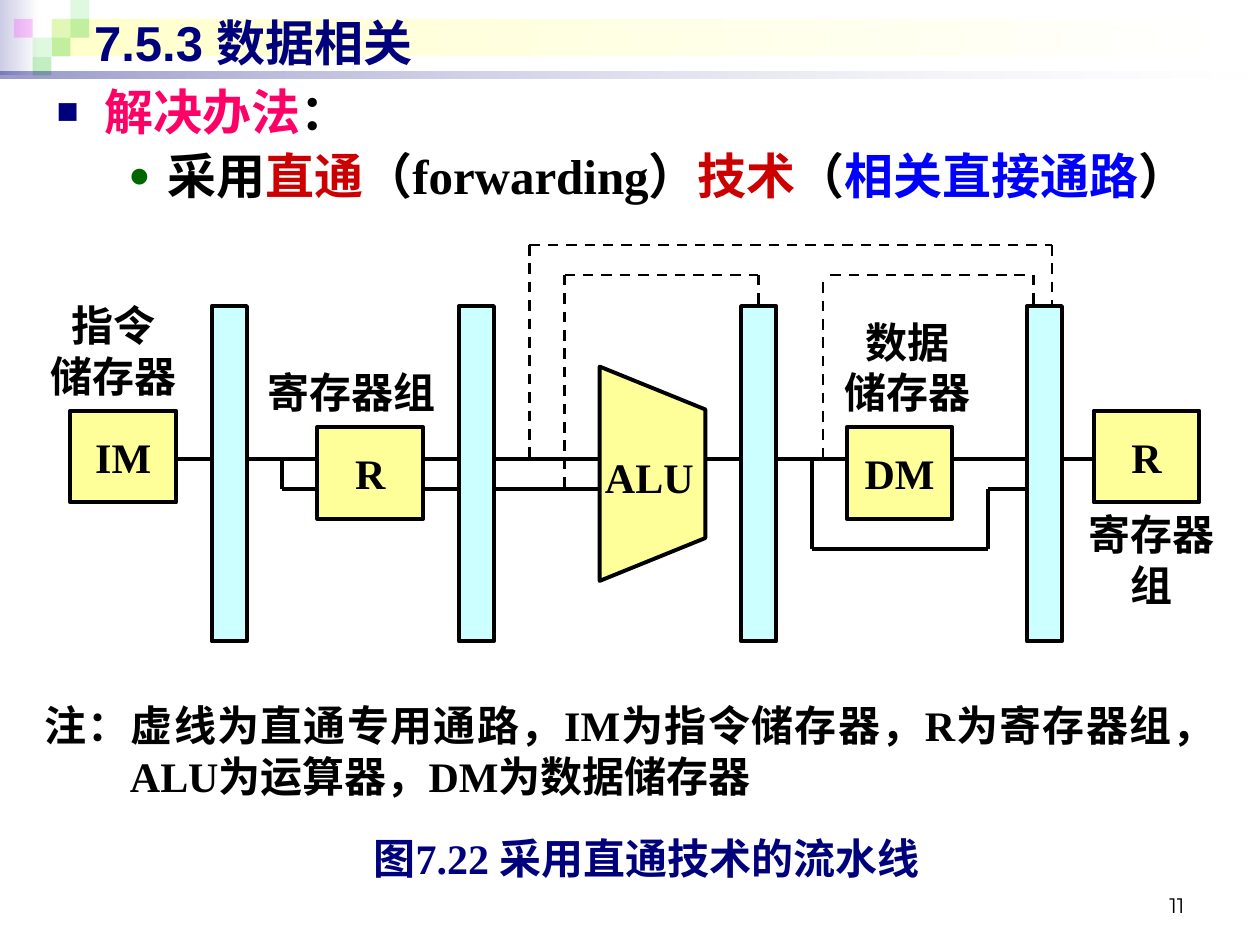
from dataclasses import dataclass
from itertools import pairwise

from lxml import etree
from pptx import Presentation
from pptx.dml.color import RGBColor
from pptx.enum.dml import MSO_LINE
from pptx.enum.shapes import MSO_CONNECTOR, MSO_SHAPE
from pptx.enum.text import MSO_ANCHOR, PP_ALIGN
from pptx.oxml.ns import qn
from pptx.util import Cm, Pt

RECTANGLE = MSO_SHAPE.RECTANGLE
TRAPEZOID = MSO_SHAPE.FLOWCHART_MANUAL_OPERATION
STRAIGHT = MSO_CONNECTOR.STRAIGHT
DASH = MSO_LINE.DASH
TOP, MIDDLE, BOTTOM = MSO_ANCHOR.TOP, MSO_ANCHOR.MIDDLE, MSO_ANCHOR.BOTTOM
LEFT, CENTER, RIGHT, JUSTIFY = PP_ALIGN.LEFT, PP_ALIGN.CENTER, PP_ALIGN.RIGHT, PP_ALIGN.JUSTIFY


@dataclass(frozen=True)
class Theme:
    navy: str = "00007D"
    black: str = "000000"
    white: str = "FFFFFF"
    pink: str = "FF0066"
    red: str = "CC0000"
    blue: str = "0000FF"
    bullet_green: str = "006600"
    unit_fill: str = "FFFF99"
    latch_fill: str = "CCFFFF"
    lavender: str = "CCCCE6"
    cream: str = "FFFFCC"
    tile_green: str = "33CC33"
    tile_magenta: str = "FF00FF"
    serif: str = "Times New Roman"
    sans: str = "Arial"
    number_font: str = "Montserrat"
    heading_size: int = 28
    diagram_size: int = 24
    number_size: int = 12
    wire_width: float = 2.25
    bypass_width: float = 1.5


THEME = Theme()

# Pipeline geometry in centimetres
UNIT_WIDTH, UNIT_HEIGHT = 2.13, 1.85
LATCH_WIDTH, LATCH_HEIGHT, LATCH_TOP = 0.71, 6.76, 6.17
UPPER_WIRE, LOWER_WIRE, BYPASS_WIRE = 9.25, 9.86, 11.07
ALU_LEFT, ALU_TOP, ALU_HEIGHT = 12.09, 7.39, 4.32
UNITS = [("IM", 1.42, 8.28), ("R", 6.4, 8.61), ("DM", 17.07, 8.61), ("R", 22.05, 8.28)]
LATCHES = [4.27, 9.25, 14.94, 20.7]


def add_block(slide, left, top, width, height, fill=None, line=None, preset=RECTANGLE):
    shape = slide.shapes.add_shape(preset, Cm(left), Cm(top), Cm(width), Cm(height))
    shape.shadow.inherit = False
    if fill:
        shape.fill.solid()
        shape.fill.fore_color.rgb = RGBColor.from_string(fill)
    if line:
        shape.line.color.rgb = RGBColor.from_string(line)
        shape.line.width = Pt(THEME.wire_width)
    else:
        shape.line.fill.background()
    return shape


def set_alpha(shape, percents):
    colours = shape.fill._xPr.iter(qn("a:srgbClr"))
    for colour, percent in zip(colours, percents):
        etree.SubElement(colour, qn("a:alpha")).set("val", str(percent * 1000))


def add_gradient(slide, left, top, width, height, start, end=THEME.white):
    shape = add_block(slide, left, top, width, height)
    shape.fill.gradient()
    shape.fill.gradient_angle = 0
    for stop, colour in zip(shape.fill.gradient_stops, (start, end)):
        stop.color.rgb = RGBColor.from_string(colour)
    return shape


def add_run(paragraph, text, colour=THEME.black, size=THEME.diagram_size, font=THEME.serif, bold=True):
    run = paragraph.add_run()
    run.text = text
    run.font.name = font
    run.font.size = Pt(size)
    run.font.bold = bold
    run.font.color.rgb = RGBColor.from_string(colour)


def set_frame(shape, anchor, align, margin=None):
    frame = shape.text_frame
    frame.word_wrap = True
    frame.vertical_anchor = anchor
    if margin is not None:
        frame.margin_left = frame.margin_right = Cm(margin)
        frame.margin_top = frame.margin_bottom = Cm(margin)
    paragraph = frame.paragraphs[0]
    paragraph.alignment = align
    return paragraph


def add_text(slide, left, top, width, height, anchor=TOP, align=CENTER):
    box = slide.shapes.add_textbox(Cm(left), Cm(top), Cm(width), Cm(height))
    return set_frame(box, anchor, align)


def add_label(slide, left, top, width, height, lines):
    paragraph = add_text(slide, left, top, width, height)
    for index, line in enumerate(lines):
        if index:
            paragraph.add_line_break()
        add_run(paragraph, line)


def set_indent(paragraph, margin, hanging):
    properties = paragraph._p.get_or_add_pPr()
    properties.set("marL", str(Cm(margin)))
    properties.set("indent", str(-Cm(hanging)))
    return properties


def set_bullet(paragraph, character, colour, margin, hanging):
    properties = set_indent(paragraph, margin, hanging)
    bullet_colour = etree.SubElement(properties, qn("a:buClr"))
    etree.SubElement(bullet_colour, qn("a:srgbClr")).set("val", colour)
    etree.SubElement(properties, qn("a:buSzPct")).set("val", "75000")
    etree.SubElement(properties, qn("a:buFont")).set("typeface", THEME.sans)
    etree.SubElement(properties, qn("a:buChar")).set("char", character)


def add_wire(slide, points, width=THEME.wire_width, dash=None):
    for (x1, y1), (x2, y2) in pairwise(points):
        wire = slide.shapes.add_connector(STRAIGHT, Cm(x1), Cm(y1), Cm(x2), Cm(y2))
        wire.line.color.rgb = RGBColor.from_string(THEME.black)
        wire.line.width = Pt(width)
        if dash:
            wire.line.dash_style = dash
        etree.SubElement(wire._element.spPr, qn("a:effectLst"))


def add_forwarding_path(slide, left, right, top, bottom, gap=0):
    for points in (
        [(left, top + gap), (left, bottom)],
        [(left + gap, top), (right - gap, top)],
        [(right, top), (right, LATCH_TOP)],
    ):
        add_wire(slide, points, THEME.bypass_width, DASH)


def add_decoration(slide):
    add_gradient(slide, 0, 0, 0.79, 1.52, THEME.lavender)
    add_gradient(slide, 1.04, 0.38, 24.26, 0.76, THEME.cream)
    tile = 0.38
    for column, row, colour, alpha in (
        (2, 1, THEME.tile_green, 15), (3, 0, THEME.tile_green, 15),
        (3, 1, THEME.tile_green, 30), (1, 2, THEME.tile_green, 15),
        (0, 1, THEME.tile_magenta, 20), (2, 2, THEME.tile_green, 30),
        (1, 3, THEME.tile_green, 30),
    ):
        set_alpha(add_block(slide, 0.28 + column * tile, row * tile, tile, tile, colour), [alpha])
    set_alpha(add_gradient(slide, 0, 1.45, 25.4, 0.13, THEME.navy), [40, 10])


def add_headings(slide):
    title = add_text(slide, 1.65, 0.13, 22.86, 1.45, MIDDLE, LEFT)
    add_run(title, "7.5.3 数据相关", THEME.navy, THEME.heading_size, THEME.sans)

    solution = add_text(slide, 0.89, 1.52, 24.21, 2.79, align=LEFT)
    set_bullet(solution, "■", THEME.navy, 0.97, 0.97)
    add_run(solution, "解决办法", THEME.pink, THEME.heading_size)
    add_run(solution, "：", size=THEME.heading_size)

    technique = solution._parent.add_paragraph()
    technique.level = 1
    set_bullet(technique, "●", THEME.bullet_green, 2.24, 0.79)
    technique.space_before = Pt(2.8)
    for text, colour in (
        ("采用", THEME.black), ("直通", THEME.red), ("（forwarding）", THEME.black),
        ("技术", THEME.red), ("（", THEME.black), ("相关直接通路", THEME.blue), ("）", THEME.black),
    ):
        add_run(technique, text, colour, THEME.heading_size)


def add_pipeline(slide):
    # Functional units, pipeline latches and the ALU
    for name, left, top in UNITS:
        unit = add_block(slide, left, top, UNIT_WIDTH, UNIT_HEIGHT, THEME.unit_fill, THEME.black)
        add_run(set_frame(unit, MIDDLE, CENTER, 0), name)
    for left in LATCHES:
        add_block(slide, left, LATCH_TOP, LATCH_WIDTH, LATCH_HEIGHT, THEME.latch_fill, THEME.black)
    turn = (ALU_HEIGHT - UNIT_WIDTH) / 2
    alu = add_block(slide, ALU_LEFT - turn, ALU_TOP + turn, ALU_HEIGHT, UNIT_WIDTH,
                    THEME.unit_fill, THEME.black, TRAPEZOID)
    alu.rotation = 270
    alu_name = add_block(slide, 12.14, 8.74, 1.9, 1.73, THEME.unit_fill)
    add_run(set_frame(alu_name, MIDDLE, CENTER, 0), "ALU")

    # Main wire through every stage, then the lower wires
    stages = [(left, left + UNIT_WIDTH) for _, left, _ in UNITS]
    stages += [(left, left + LATCH_WIDTH) for left in LATCHES]
    stages.append((ALU_LEFT, ALU_LEFT + UNIT_WIDTH))
    for (_, start), (end, _) in pairwise(sorted(stages)):
        add_wire(slide, [(start, UPPER_WIRE), (end, UPPER_WIRE)])
    for points in (
        [(5.69, UPPER_WIRE), (5.69, LOWER_WIRE), (6.4, LOWER_WIRE)],
        [(8.53, LOWER_WIRE), (9.25, LOWER_WIRE)],
        [(9.96, LOWER_WIRE), (ALU_LEFT, LOWER_WIRE)],
        [(16.36, UPPER_WIRE), (16.36, BYPASS_WIRE), (19.91, BYPASS_WIRE),
         (19.91, LOWER_WIRE), (20.7, LOWER_WIRE)],
    ):
        add_wire(slide, points)

    # Dashed forwarding paths
    add_forwarding_path(slide, 11.38, 15.29, 5.54, 9.88)
    add_forwarding_path(slide, 10.67, 21.21, 4.94, 9.27)
    add_forwarding_path(slide, 16.59, 20.83, 5.54, 9.22, gap=0.15)

    # Unit captions
    add_label(slide, 0.69, 5.92, 3.2, 2.29, ["指令", "储存器"])
    add_label(slide, 4.9, 7.26, 4.39, 1.27, ["寄存器组"])
    add_label(slide, 21.51, 10.13, 3.4, 2.29, ["寄存器组"])
    add_label(slide, 16.69, 6.25, 3.2, 2.29, ["数据", "储存器"])


def add_notes_and_caption(slide):
    note = set_frame(add_block(slide, 0.89, 13.89, 23.6, 2.46, THEME.white), MIDDLE, JUSTIFY, 0)
    set_indent(note, 1.73, 1.73)
    add_run(note, "注：虚线为直通专用通路，IM为指令储存器，R为寄存器组，ALU为运算器，DM为数据储存器")
    caption = set_frame(add_block(slide, 6.76, 16.61, 12.55, 1.35, THEME.white), MIDDLE, CENTER, 0)
    add_run(caption, "图7.22 采用直通技术的流水线", THEME.navy)
    number = add_text(slide, 18.21, 17.35, 5.92, 1.27, BOTTOM, RIGHT)
    add_run(number, "11", size=THEME.number_size, font=THEME.number_font, bold=False)


def main():
    presentation = Presentation()
    presentation.slide_width, presentation.slide_height = Cm(25.4), Cm(19.05)
    slide = presentation.slides.add_slide(presentation.slide_layouts[6])
    add_decoration(slide)
    add_headings(slide)
    add_pipeline(slide)
    add_notes_and_caption(slide)
    presentation.save("out.pptx")


if __name__ == "__main__":
    main()
